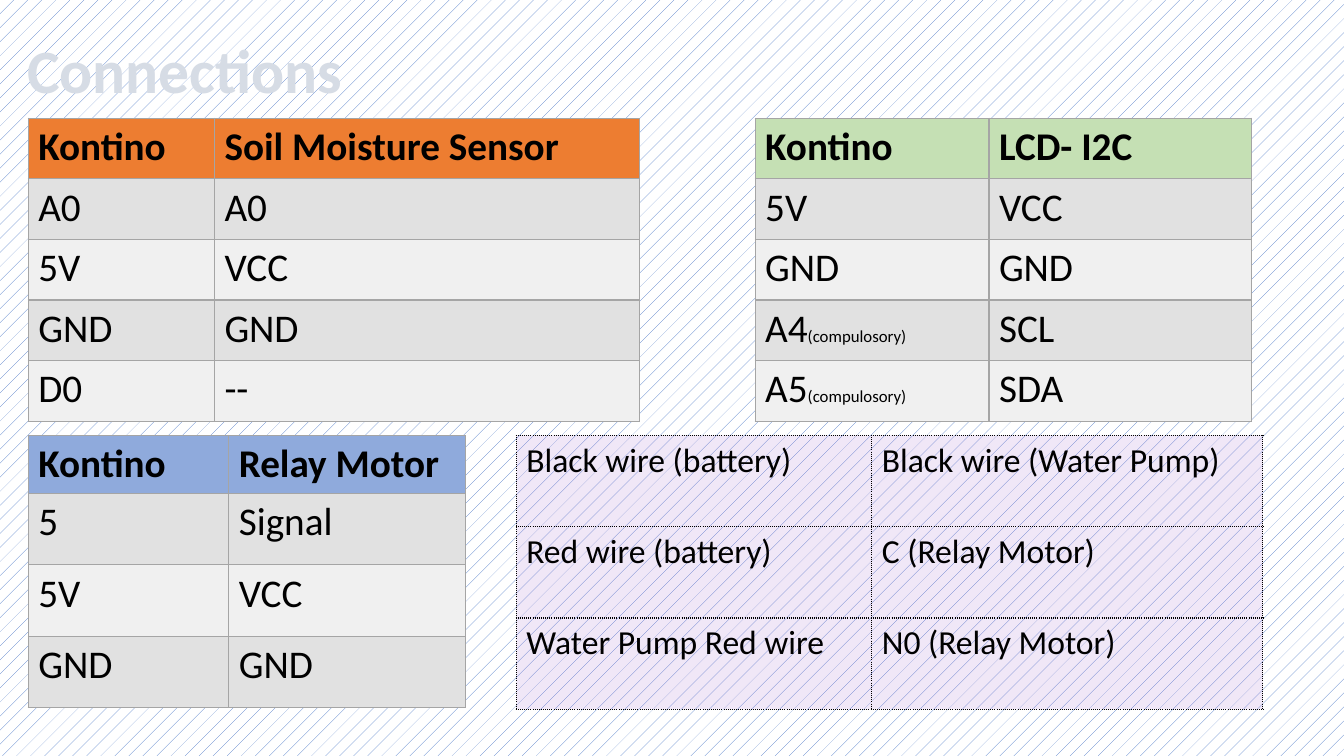
"""Build the wiring connections slide."""
from lxml import etree
from pptx import Presentation
from pptx.dml.color import RGBColor
from pptx.enum.dml import MSO_PATTERN
from pptx.enum.text import MSO_ANCHOR, MSO_AUTO_SIZE, PP_ALIGN
from pptx.oxml.ns import qn
from pptx.util import Pt

DOTS = MSO_PATTERN.PERCENT_5
DIAGONAL = MSO_PATTERN.DARK_UPWARD_DIAGONAL
MIDDLE = MSO_ANCHOR.MIDDLE
NO_FIT = MSO_AUTO_SIZE.NONE
LEFT = PP_ALIGN.LEFT

BLACK = RGBColor(0x00, 0x00, 0x00)
WHITE = RGBColor(0xFF, 0xFF, 0xFF)
BLUE = RGBColor(0x44, 0x72, 0xC4)
SLATE = RGBColor(0x44, 0x54, 0x6A)
PALE_SLATE = RGBColor(0xD6, 0xDC, 0xE5)
DARK_SLATE = RGBColor(0x33, 0x3F, 0x50)
GRAY = RGBColor(0xA5, 0xA5, 0xA5)
BAND_DARK = RGBColor(0xE1, 0xE1, 0xE1)
BAND_LIGHT = RGBColor(0xF0, 0xF0, 0xF0)
ORANGE = RGBColor(0xED, 0x7D, 0x31)
GREEN = RGBColor(0xC5, 0xE0, 0xB4)
PERIWINKLE = RGBColor(0x8F, 0xAA, 0xDC)
PURPLE = RGBColor(0xB1, 0x7E, 0xD8)

BOARD = "Kontino"
NOTE = "(compulosory)"
LEFT_EDGE, TOP_ROW, BOTTOM_ROW = 20.2, 84.4, 311
PIN_ROWS = [43.3] * 5


def set_all(target, values):
    """Set every attribute in values on target."""
    for name, value in values.items():
        setattr(target, name, value)


def add_line(parent, tag, color, dash="solid"):
    """Put a one-point line element into parent and return it."""
    line = etree.SubElement(parent, qn(tag), w=str(Pt(1)))
    fill = etree.SubElement(line, qn("a:solidFill"))
    etree.SubElement(fill, qn("a:srgbClr"), val=str(color))
    etree.SubElement(line, qn("a:prstDash"), val=dash)
    return line


class SlideBuilder:
    """Hold the shared style and the current slide."""

    font_name = "Calibri"

    def __init__(self, presentation):
        """Add a title-only slide."""
        self.slide = presentation.slides.add_slide(presentation.slide_layouts[5])

    def background(self, pattern, fore, back):
        """Fill the slide background with a pattern."""
        self.pattern_fill(self.slide.background.fill, pattern, fore, back)

    def pattern_fill(self, fill, pattern, fore, back):
        """Apply a two-colour pattern to a fill."""
        fill.patterned()
        fill.pattern = pattern
        fill.fore_color.rgb = fore
        fill.back_color.rgb = back

    def add_run(self, paragraph, text, size, bold):
        """Add a run in the slide font and return it."""
        run = paragraph.add_run()
        run.text = text
        set_all(run.font, {"name": self.font_name, "size": Pt(size), "bold": bold})
        return run

    def title(self, text, left, top, width, height):
        """Place and format the title."""
        shape = self.slide.shapes.title
        set_all(shape, {"left": Pt(left), "top": Pt(top),
                        "width": Pt(width), "height": Pt(height)})
        set_all(shape.text_frame, {"vertical_anchor": MIDDLE,
                                   "auto_size": NO_FIT, "word_wrap": True})
        paragraph = shape.text_frame.paragraphs[0]
        set_all(paragraph, {"alignment": LEFT, "line_spacing": 0.9})
        run = self.add_run(paragraph, text, 44, True)
        self.pattern_fill(run.font.fill, DIAGONAL, SLATE, PALE_SLATE)
        properties = run.font._element
        properties.insert(0, add_line(properties, "a:ln", DARK_SLATE))

    def cell(self, cell, parts, fill, size, bold, border, dash, alpha):
        """Write and style one table cell; a second part is a small note."""
        paragraph = cell.text_frame.paragraphs[0]
        for text, part_size in zip(parts, (size, 12)):
            run = self.add_run(paragraph, text, part_size, bold)
            run.font.color.rgb = BLACK
        properties = cell._tc.get_or_add_tcPr()
        for side in ("a:lnL", "a:lnR", "a:lnT", "a:lnB"):
            add_line(properties, side, border, dash)
        cell.fill.solid()
        cell.fill.fore_color.rgb = fill
        if alpha:
            color = properties.find(qn("a:solidFill")).find(qn("a:srgbClr"))
            etree.SubElement(color, qn("a:alpha"), val=str(alpha * 1000))

    def table(self, left, top, columns, heights, rows, fills, size=28,
              header=True, border=GRAY, dash="solid", alpha=None):
        """Add a two-column table with one fill per row."""
        frame = self.slide.shapes.add_table(
            len(rows), len(columns), Pt(left), Pt(top),
            Pt(sum(columns)), Pt(sum(heights)))
        table = frame.table
        set_all(table, {"first_row": header, "horz_banding": False})
        for column, width in zip(table.columns, columns):
            column.width = Pt(width)
        for index, (texts, height, fill) in enumerate(zip(rows, heights, fills)):
            table.rows[index].height = Pt(height)
            for position, text in enumerate(texts):
                parts = text if isinstance(text, tuple) else (text,)
                self.cell(table.cell(index, position), parts, fill, size,
                          header and index == 0, border, dash, alpha)


def main():
    """Build and save the presentation."""
    presentation = Presentation()
    set_all(presentation, {"slide_width": Pt(960), "slide_height": Pt(540)})
    builder = SlideBuilder(presentation)
    builder.background(DOTS, BLUE, WHITE)
    builder.title("Connections", 12.2, 0, 828, 104.4)
    bands = [BAND_DARK, BAND_LIGHT] * 2
    builder.table(
        LEFT_EDGE, TOP_ROW, [133, 303.7], PIN_ROWS,
        [(BOARD, "Soil Moisture Sensor"), ("A0", "A0"), ("5V", "VCC"),
         ("GND", "GND"), ("D0", "--")],
        [ORANGE, *bands])
    builder.table(
        LEFT_EDGE, BOTTOM_ROW, [143.2, 169], [41.2, 51, 51, 51],
        [(BOARD, "Relay Motor"), ("5", "Signal"), ("5V", "VCC"), ("GND", "GND")],
        [PERIWINKLE, *bands])
    builder.table(
        539.4, TOP_ROW, [167, 187.3], PIN_ROWS,
        [(BOARD, "LCD- I2C"), ("5V", "VCC"), ("GND", "GND"),
         (("A4", NOTE), "SCL"), (("A5", NOTE), "SDA")],
        [GREEN, *bands])
    builder.table(
        368.8, BOTTOM_ROW, [253.9, 279.4], [65.2] * 3,
        [("Black wire (battery)", "Black wire (Water Pump)"),
         ("Red wire (battery)", "C (Relay Motor)"),
         ("Water Pump Red wire", "N0 (Relay Motor)")],
        [PURPLE] * 3, size=24, header=False, border=BLACK, dash="sysDot", alpha=18)
    presentation.save("out.pptx")


if __name__ == "__main__":
    main()
